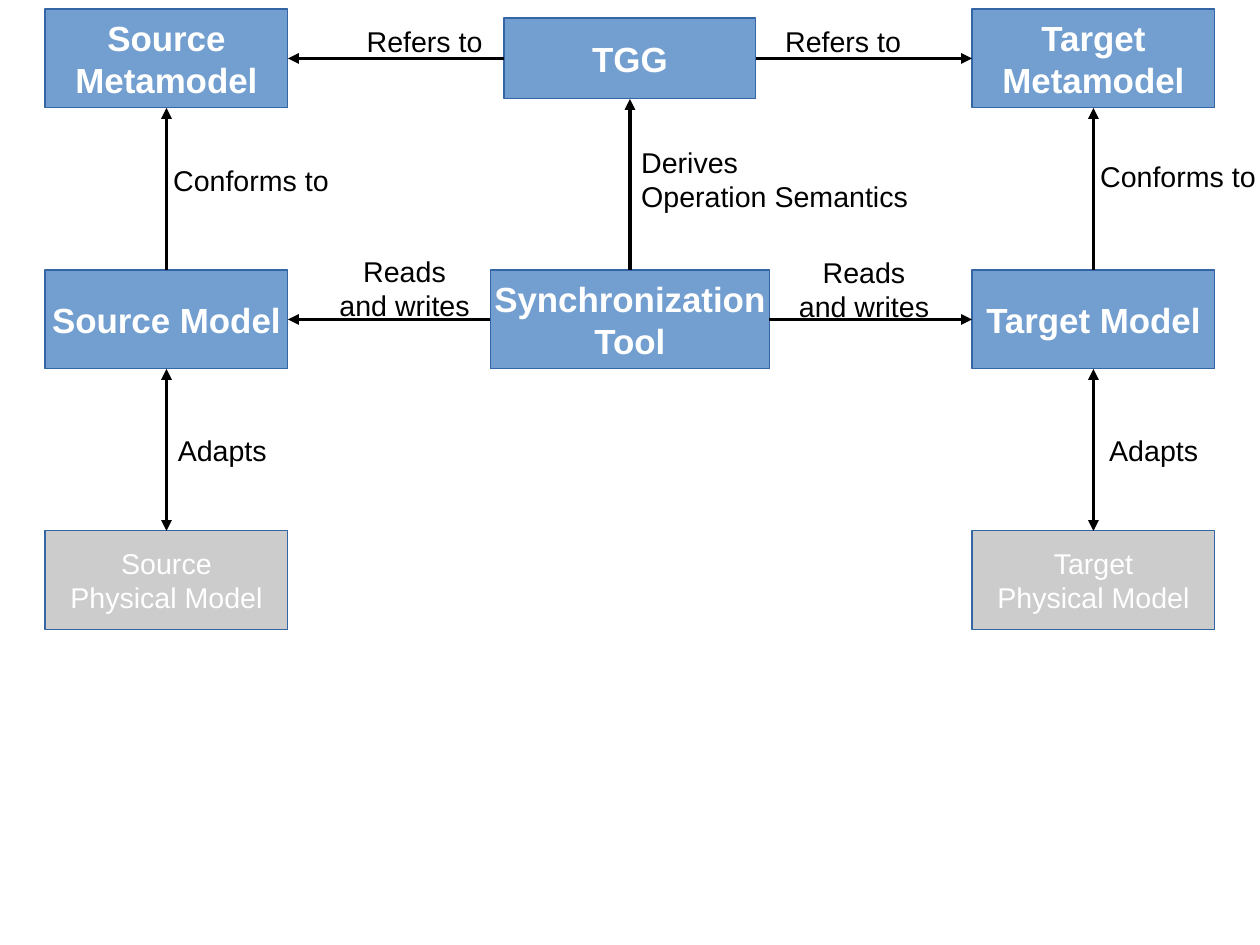
from dataclasses import dataclass

from lxml import etree
from pptx import Presentation
from pptx import util as u
from pptx.dml.color import RGBColor
from pptx.enum import shapes, text
from pptx.oxml import ns


@dataclass(frozen=True)
class Theme:
    font: str = "Arial"
    heading_size: float = 22
    body_size: float = 18
    arrow_width: float = 2.3
    model_fill: RGBColor = RGBColor.from_string("729FCF")
    physical_fill: RGBColor = RGBColor.from_string("CCCCCC")
    outline: RGBColor = RGBColor.from_string("3465A4")
    light: RGBColor = RGBColor.from_string("FFFFFF")
    dark: RGBColor = RGBColor.from_string("000000")


@dataclass(frozen=True)
class Box:
    left: float
    top: float
    width: float
    height: float

    def lengths(self):
        return [u.Pt(n) for n in (self.left, self.top, self.width, self.height)]


THEME = Theme()
SLIDE_WIDTH, SLIDE_HEIGHT = 793.7, 595.28
ROW_PITCH = 164.4
NODE_HEIGHT = 62.36
LINE_HEIGHT = 20.1
CENTER = text.PP_ALIGN.CENTER
LEFT = text.PP_ALIGN.LEFT
# Connection sites of a rectangle
TOP_SIDE, LEFT_SIDE, BOTTOM_SIDE, RIGHT_SIDE = range(4)


def write(frame, paragraphs, size, color, align, bold=False):
    frame.word_wrap = False
    frame.margin_left = frame.margin_right = u.Pt(7.2)
    frame.margin_top = frame.margin_bottom = u.Pt(3.6)
    for index, words in enumerate(paragraphs):
        paragraph = frame.add_paragraph() if index else frame.paragraphs[0]
        paragraph.text = words
        paragraph.alignment = align
        font = paragraph.font
        font.name, font.size, font.bold = THEME.font, u.Pt(size), bold
        font.color.rgb = color


def add_node(slide, box, words, physical=False):
    node = slide.shapes.add_shape(shapes.MSO_SHAPE.RECTANGLE, *box.lengths())
    node.shadow.inherit = False
    node.fill.solid()
    node.fill.fore_color.rgb = THEME.physical_fill if physical else THEME.model_fill
    node.line.color.rgb = THEME.outline
    node.line.width = u.Pt(0)
    node.text_frame.vertical_anchor = text.MSO_ANCHOR.MIDDLE
    size = THEME.body_size if physical else THEME.heading_size
    write(node.text_frame, [words], size, THEME.light, CENTER, not physical)
    return node


def add_label(slide, left, top, width, *paragraphs, align=LEFT):
    lines = sum(len(words.split("\n")) for words in paragraphs)
    box = Box(left, top, width, lines * LINE_HEIGHT + 7.2)
    label = slide.shapes.add_textbox(*box.lengths())
    label.text_frame.vertical_anchor = text.MSO_ANCHOR.TOP
    write(label.text_frame, paragraphs, THEME.body_size, THEME.dark, align)
    label.text_frame.auto_size = text.MSO_AUTO_SIZE.SHAPE_TO_FIT_TEXT


def add_arrow(slide, start, start_side, end, end_side, both_ends=False):
    arrow = slide.shapes.add_connector(shapes.MSO_CONNECTOR.STRAIGHT, 0, 0, 0, 0)
    arrow.begin_connect(start, start_side)
    arrow.end_connect(end, end_side)
    arrow.line.color.rgb = THEME.dark
    arrow.line.width = u.Pt(THEME.arrow_width)
    line = arrow.line._get_or_add_ln()
    for end_name in ("headEnd", "tailEnd") if both_ends else ("tailEnd",):
        etree.SubElement(line, ns.qn(f"a:{end_name}"), type="triangle")
    etree.SubElement(arrow._element.spPr, ns.qn("a:effectLst"))


def add_side(slide, box, name, conforms_top, adapts_shift):
    """Stack the metamodel, model and physical model of one side."""
    kinds = ("\nMetamodel", " Model", "\nPhysical Model")
    metamodel, model, physical = [
        add_node(slide, Box(box.left, box.top + row * ROW_PITCH, box.width, NODE_HEIGHT),
                 name + kind, physical=row == 2)
        for row, kind in enumerate(kinds)]
    add_arrow(slide, model, TOP_SIDE, metamodel, BOTTOM_SIDE)
    add_arrow(slide, model, BOTTOM_SIDE, physical, TOP_SIDE, both_ends=True)

    # Labels beside the vertical arrows
    axis = box.left + box.width / 2
    add_label(slide, axis - 2.9, box.top + conforms_top, 113.4, "Conforms to")
    add_label(slide, axis + adapts_shift, box.top + 263.5, 70.9, "Adapts")
    return metamodel, model


def add_middle(slide, box):
    """Place the grammar above the tool that derives from it."""
    inset = 8.5
    grammar = add_node(slide, Box(box.left + inset, box.top + 5.67,
                                  box.width - 2 * inset, 51.02), "TGG")
    tool = add_node(slide, Box(box.left, box.top + ROW_PITCH, box.width, NODE_HEIGHT),
                    "Synchronization\nTool")
    add_arrow(slide, tool, TOP_SIDE, grammar, BOTTOM_SIDE)
    add_label(slide, box.left + box.width / 2, box.top + 82, 187.2,
              "Derives", "Operation Semantics")
    return grammar, tool


def add_links(slide, box, middle, side, middle_side, side_side, refers_left, reads):
    """Join the middle nodes to one side across the gap given as box."""
    for start, end in zip(middle, side):
        add_arrow(slide, start, middle_side, end, side_side)
    add_label(slide, box.left + refers_left, box.top + 5.8, 89, "Refers to")
    reads_left, reads_top = reads
    add_label(slide, box.left + reads_left, box.top + reads_top, 96.5,
              "Reads\nand writes", align=CENTER)


def add_diagram(slide, box):
    side_width, middle_width = 153.07, 175.75
    gap = (box.width - 2 * side_width - middle_width) / 2
    middle_left = box.left + side_width + gap
    right_gap = middle_left + middle_width

    source = add_side(slide, Box(box.left, box.top, side_width, box.height),
                      "Source", 93.6, 0)
    target = add_side(slide, Box(right_gap + gap, box.top, side_width, box.height),
                      "Target", 90.8, 2.8)
    middle = add_middle(slide, Box(middle_left, box.top, middle_width, box.height))
    add_links(slide, Box(box.left + side_width, box.top, gap, box.height),
              middle, source, LEFT_SIDE, RIGHT_SIDE, 42.5, (25.2, 150.5))
    add_links(slide, Box(right_gap, box.top, gap, box.height),
              middle, target, RIGHT_SIDE, LEFT_SIDE, 2.8, (11.3, 151.2))


def main():
    presentation = Presentation()
    presentation.slide_width = u.Pt(SLIDE_WIDTH)
    presentation.slide_height = u.Pt(SLIDE_HEIGHT)
    slide = presentation.slides.add_slide(presentation.slide_layouts[6])
    add_diagram(slide, Box(28.35, 5.67, 737, 2 * ROW_PITCH + NODE_HEIGHT))
    presentation.save("out.pptx")


if __name__ == "__main__":
    main()
